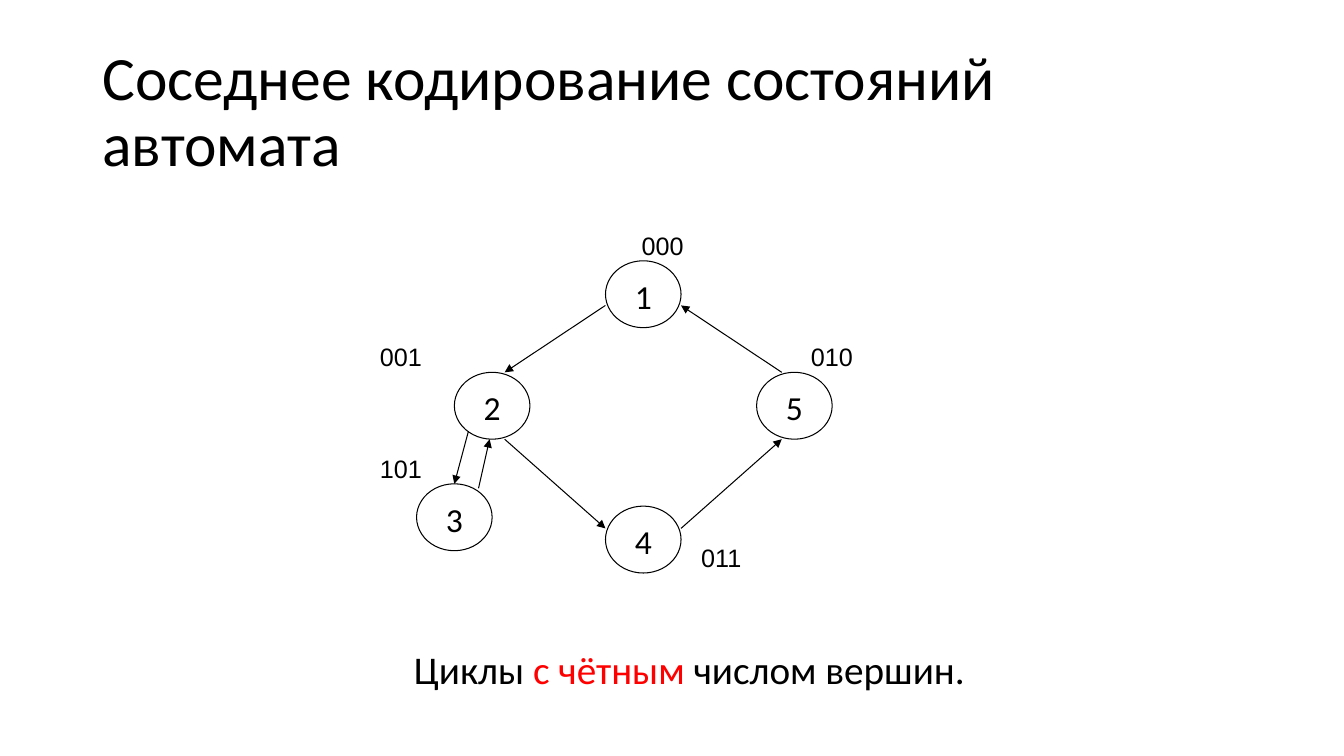
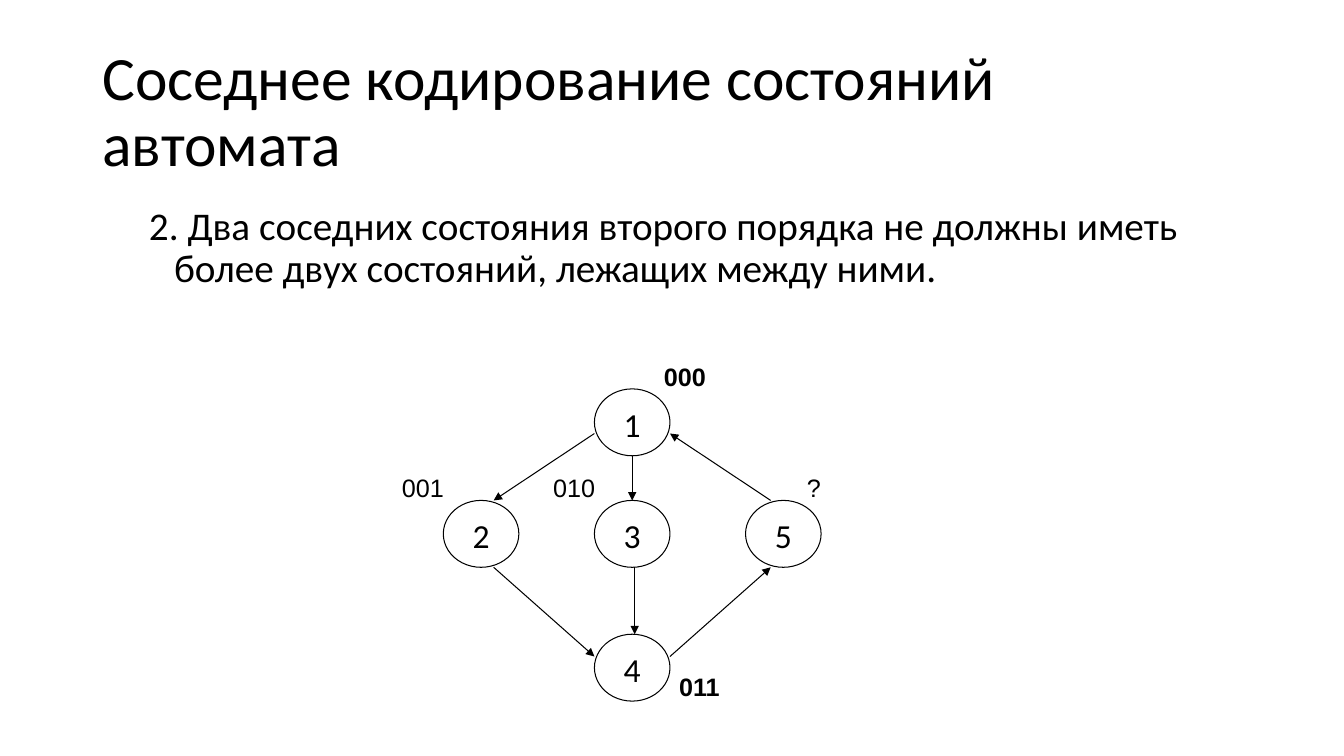
from dataclasses import dataclass

from lxml.etree import SubElement
from pptx import Presentation
from pptx.dml.color import RGBColor
from pptx.enum.shapes import MSO_CONNECTOR as Connector, MSO_SHAPE as Shape
from pptx.enum.text import MSO_ANCHOR as Anchor, MSO_AUTO_SIZE as AutoSize, PP_ALIGN as Align
from pptx.oxml.ns import qn
from pptx.util import Pt

COLORS = {"ink": "000000", "paper": "FFFFFF", "accent": "FF0000"}
TITLE = "Соседнее кодирование состояний автомата"
CELL_WIDTH, CELL_HEIGHT = 18, 15.93
NODE_CELLS = 3


@dataclass(frozen=True)
class Node:
    name: str
    column: float
    row: float


@dataclass(frozen=True)
class Arrow:
    start: tuple[float, float]
    end: tuple[float, float]


@dataclass(frozen=True)
class Code:
    text: str
    column: float
    row: float
    bold: bool = False


@dataclass(frozen=True)
class Graph:
    left: float
    top: float
    nodes: list[Node]
    arrows: list[Arrow]
    codes: list[Code]

    def place(self, column: float, row: float) -> tuple[int, int]:
        return Pt(self.left + column * CELL_WIDTH), Pt(self.top + row * CELL_HEIGHT)


RING_NODES = [Node("1", 0, 0), Node("2", -6, 5), Node("5", 6, 5), Node("4", 0, 11)]
RING_ARROWS = [
    Arrow((0, 2), (-4, 5)),
    Arrow((7, 5), (3, 2)),
    Arrow((3, 12), (7, 8)),
    Arrow((-4, 8), (0, 12)),
]

EVEN_CYCLES = Graph(
    432.7, 186.3,
    RING_NODES + [Node("3", -7.5, 10)],
    RING_ARROWS + [Arrow((-5.44, 7.64), (-6, 10)), Arrow((-5.04, 10.2), (-4.6, 8))],
    [
        Code("000", 1.44, -1.35),
        Code("001", -8.96, 3.63),
        Code("010", 8.16, 3.6),
        Code("011", 3.8, 12.63),
        Code("101", -8.96, 8.63),
    ],
)
SECOND_ORDER = Graph(
    424.8, 277.8,
    RING_NODES + [Node("3", 0, 5)],
    RING_ARROWS + [Arrow((1.5, 3), (1.5, 5)), Arrow((1.6, 8), (1.6, 11))],
    [
        Code("000", 2.76, -1.22, bold=True),
        Code("001", -7.64, 3.75),
        Code("010", -1.64, 3.75),
        Code("?", 8.44, 3.75),
        Code("011", 3.36, 12.65, bold=True),
    ],
)


def color(name: str) -> RGBColor:
    return RGBColor.from_string(COLORS[name])


def write(frame, *runs, size, font="Calibri", bold=False, align=Align.LEFT,
          line_spacing=None, space_after=None, hanging=0):
    paragraph = frame.paragraphs[0]
    paragraph.alignment = align
    paragraph.line_spacing = line_spacing
    paragraph.space_after = space_after
    if hanging:
        properties = paragraph._p.get_or_add_pPr()
        properties.set("marL", str(Pt(hanging)))
        properties.set("indent", str(-Pt(hanging)))
    for text, color_name in runs:
        run = paragraph.add_run()
        run.text = text
        run.font.name = font
        run.font.size = Pt(size)
        run.font.bold = bold
        run.font.color.rgb = color(color_name)


def add_titled_slide(presentation):
    slide = presentation.slides.add_slide(presentation.slide_layouts[5])
    title = slide.shapes.title
    title.left, title.top, title.width, title.height = Pt(66), Pt(28.8), Pt(828), Pt(104.4)
    frame = title.text_frame
    frame.word_wrap = True
    frame.auto_size = AutoSize.NONE
    frame.vertical_anchor = Anchor.MIDDLE
    write(frame, (TITLE, "ink"), size=44, line_spacing=0.9)
    return slide


def add_statement(slide, left: float, top: float, width: float, height: float, *runs):
    box = slide.shapes.add_textbox(Pt(left), Pt(top), Pt(width), Pt(height))
    box.text_frame.word_wrap = True
    write(box.text_frame, *runs, size=28, line_spacing=0.9, hanging=18)


def add_node(shapes, graph: Graph, node: Node):
    shape = shapes.add_shape(Shape.OVAL, *graph.place(node.column, node.row),
                             Pt(NODE_CELLS * CELL_WIDTH), Pt(NODE_CELLS * CELL_HEIGHT))
    shape.shadow.inherit = False
    shape.fill.solid()
    shape.fill.fore_color.rgb = color("paper")
    shape.line.color.rgb = color("ink")
    shape.line.width = Pt(0.75)
    shape.text_frame.word_wrap = True
    shape.text_frame.vertical_anchor = Anchor.TOP
    write(shape.text_frame, (node.name, "ink"), size=24, align=Align.CENTER, space_after=Pt(10))


def add_arrow(shapes, graph: Graph, arrow: Arrow):
    connector = shapes.add_connector(Connector.STRAIGHT,
                                     *graph.place(*arrow.start), *graph.place(*arrow.end))
    connector.line.color.rgb = color("ink")
    connector.line.width = Pt(0.75)
    SubElement(connector.line._get_or_add_ln(), qn("a:tailEnd"), type="triangle")
    SubElement(connector._element.spPr, qn("a:effectLst"))


def add_code(shapes, graph: Graph, code: Code):
    box = shapes.add_textbox(*graph.place(code.column, code.row), Pt(33.8), Pt(21.6))
    frame = box.text_frame
    frame.margin_left = frame.margin_top = frame.margin_right = frame.margin_bottom = 0
    frame.word_wrap = True
    frame.auto_size = AutoSize.SHAPE_TO_FIT_TEXT
    write(frame, (code.text, "ink"), size=18, font="Arial", bold=code.bold)


def add_graph(slide, graph: Graph):
    shapes = slide.shapes.add_group_shape().shapes
    for node in graph.nodes:
        add_node(shapes, graph, node)
    for arrow in graph.arrows:
        add_arrow(shapes, graph, arrow)
    for code in graph.codes:
        add_code(shapes, graph, code)


def main():
    presentation = Presentation()
    presentation.slide_width, presentation.slide_height = Pt(960.5), Pt(540)

    slide = add_titled_slide(presentation)
    add_statement(slide, 288.7, 461.5, 529.2, 60.5,
                  ("Циклы ", "ink"), ("с чётным ", "accent"), ("числом вершин.", "ink"))
    add_graph(slide, EVEN_CYCLES)

    slide = add_titled_slide(presentation)
    add_statement(slide, 99.4, 144, 751, 115.9,
                  ("2. Два соседних состояния второго порядка не должны иметь "
                   "более двух состояний, лежащих между ними.", "ink"))
    add_graph(slide, SECOND_ORDER)

    presentation.save("out.pptx")


if __name__ == "__main__":
    main()
